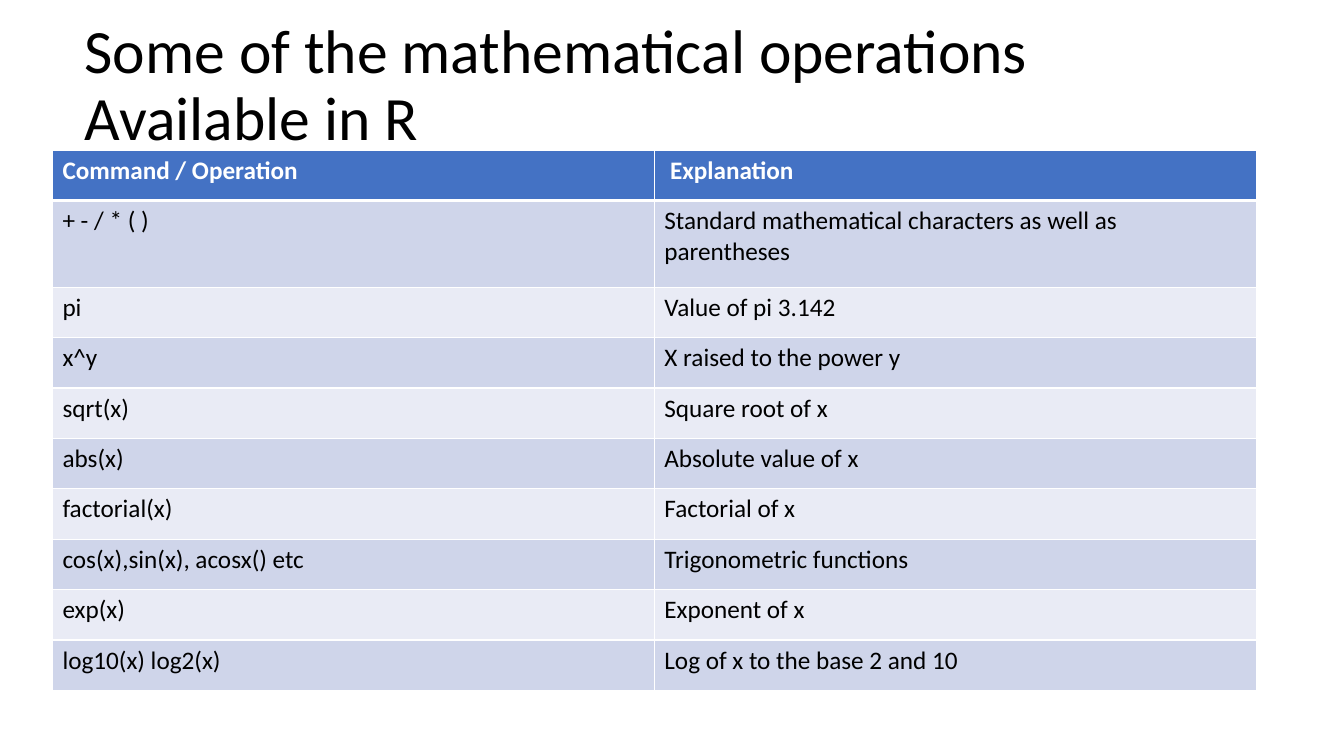
from dataclasses import dataclass

from lxml import etree
from pptx import Presentation
from pptx.dml.color import RGBColor
from pptx.enum.text import MSO_ANCHOR, MSO_AUTO_SIZE, PP_ALIGN
from pptx.oxml.ns import qn
from pptx.util import Inches, Pt

LEFT = PP_ALIGN.LEFT
MIDDLE, TOP = MSO_ANCHOR.MIDDLE, MSO_ANCHOR.TOP
NO_AUTOFIT = MSO_AUTO_SIZE.NONE
TITLE_ONLY = 5

TITLE = "Some of the mathematical operations Available in R"
OPERATIONS = [
    ("Command / Operation", " Explanation"),
    ("+ - / * ( )", "Standard mathematical characters as well as parentheses"),
    ("pi", "Value of pi 3.142"),
    ("x^y", "X raised to the power y"),
    ("sqrt(x)", "Square root of x"),
    ("abs(x)", "Absolute value of x"),
    ("factorial(x)", "Factorial of x"),
    ("cos(x),sin(x), acosx() etc", "Trigonometric functions"),
    ("exp(x)", "Exponent of x"),
    ("log10(x) log2(x)", "Log of x to the base 2 and 10"),
]


@dataclass(frozen=True)
class Theme:
    font: str = "Calibri"
    title_size: int = 44
    table_size: int = 18
    text: str = "000000"
    header_text: str = "FFFFFF"
    header_fill: str = "4472C4"
    bands: tuple = ("CFD5EA", "E9EBF5")
    border: str = "FFFFFF"
    thin: int = 1
    thick: int = 3


class SlideBuilder:
    def __init__(self, slide, theme):
        self.slide = slide
        self.theme = theme

    def format_text(self, frame, size, color, bold=False):
        paragraph = frame.paragraphs[0]
        paragraph.alignment = LEFT
        formats = {"name": self.theme.font, "size": Pt(size), "bold": bold}
        for run in paragraph.runs:
            for attribute, value in formats.items():
                setattr(run.font, attribute, value)
            run.font.color.rgb = RGBColor.from_string(color)

    def title(self, text, left, top, width, height):
        heading = self.slide.shapes.title
        place = {"left": left, "top": top, "width": width, "height": height}
        for attribute, value in place.items():
            setattr(heading, attribute, Inches(value))
        frame = heading.text_frame
        frame.text = text
        layout = {"word_wrap": True, "auto_size": NO_AUTOFIT,
                  "vertical_anchor": MIDDLE}
        for attribute, value in layout.items():
            setattr(frame, attribute, value)
        frame.paragraphs[0].line_spacing = 0.9
        self.format_text(frame, self.theme.title_size, self.theme.text)

    def borders(self, cell, widths):
        """Draw cell edges; the lines must precede the fill in the cell's XML."""
        properties = cell._tc.get_or_add_tcPr()
        for position, (edge, width) in enumerate(widths.items()):
            line = etree.Element(qn(f"a:ln{edge}"), w=str(Pt(width)))
            fill = etree.SubElement(line, qn("a:solidFill"))
            etree.SubElement(fill, qn("a:srgbClr"), val=self.theme.border)
            properties.insert(position, line)

    def table(self, rows, left, top, column_width, row_heights):
        theme = self.theme
        columns = len(rows[0])
        table = self.slide.shapes.add_table(
            len(rows), columns, Inches(left), Inches(top),
            Inches(column_width * columns), Inches(sum(row_heights))).table
        for column in table.columns:
            column.width = Inches(column_width)
        for row_index, (texts, height) in enumerate(zip(rows, row_heights)):
            table.rows[row_index].height = Inches(height)
            header = row_index == 0
            fill = theme.header_fill if header else theme.bands[(row_index - 1) % 2]
            color = theme.header_text if header else theme.text
            widths = {"L": theme.thin, "R": theme.thin,
                      "T": theme.thick if row_index == 1 else theme.thin,
                      "B": theme.thick if header else theme.thin}
            for column_index, text in enumerate(texts):
                cell = table.cell(row_index, column_index)
                cell.text = text
                cell.vertical_anchor = TOP
                cell.fill.solid()
                cell.fill.fore_color.rgb = RGBColor.from_string(fill)
                self.borders(cell, widths)
                self.format_text(cell.text_frame, theme.table_size, color, header)


def main():
    presentation = Presentation()
    presentation.slide_width = Inches(13.33)
    presentation.slide_height = Inches(7.5)
    slide = presentation.slides.add_slide(presentation.slide_layouts[TITLE_ONLY])
    builder = SlideBuilder(slide, Theme())
    builder.title(TITLE, 0.74, 0.14, 11.5, 1.45)
    row_heights = [0.5, 0.86] + [0.5] * (len(OPERATIONS) - 2)
    builder.table(OPERATIONS, 0.52, 1.49, 5.97, row_heights)
    presentation.save("out.pptx")


if __name__ == "__main__":
    main()
